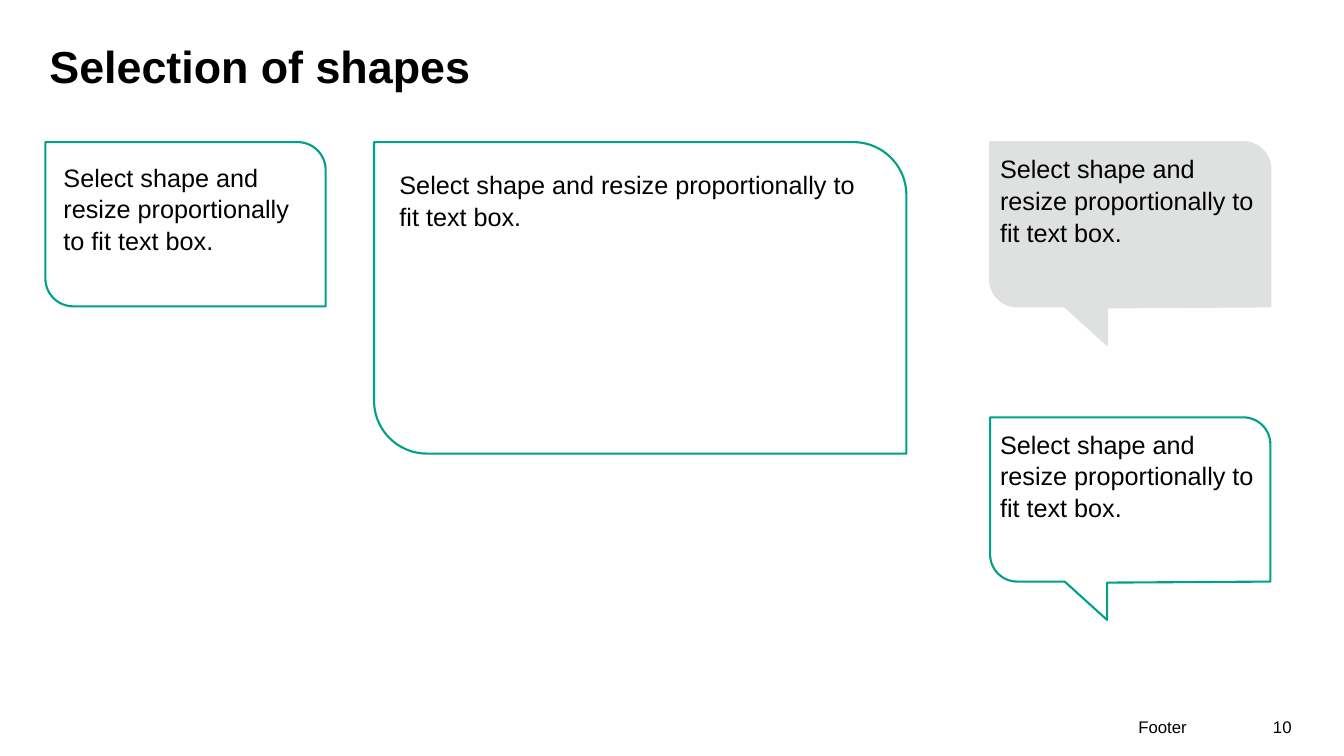
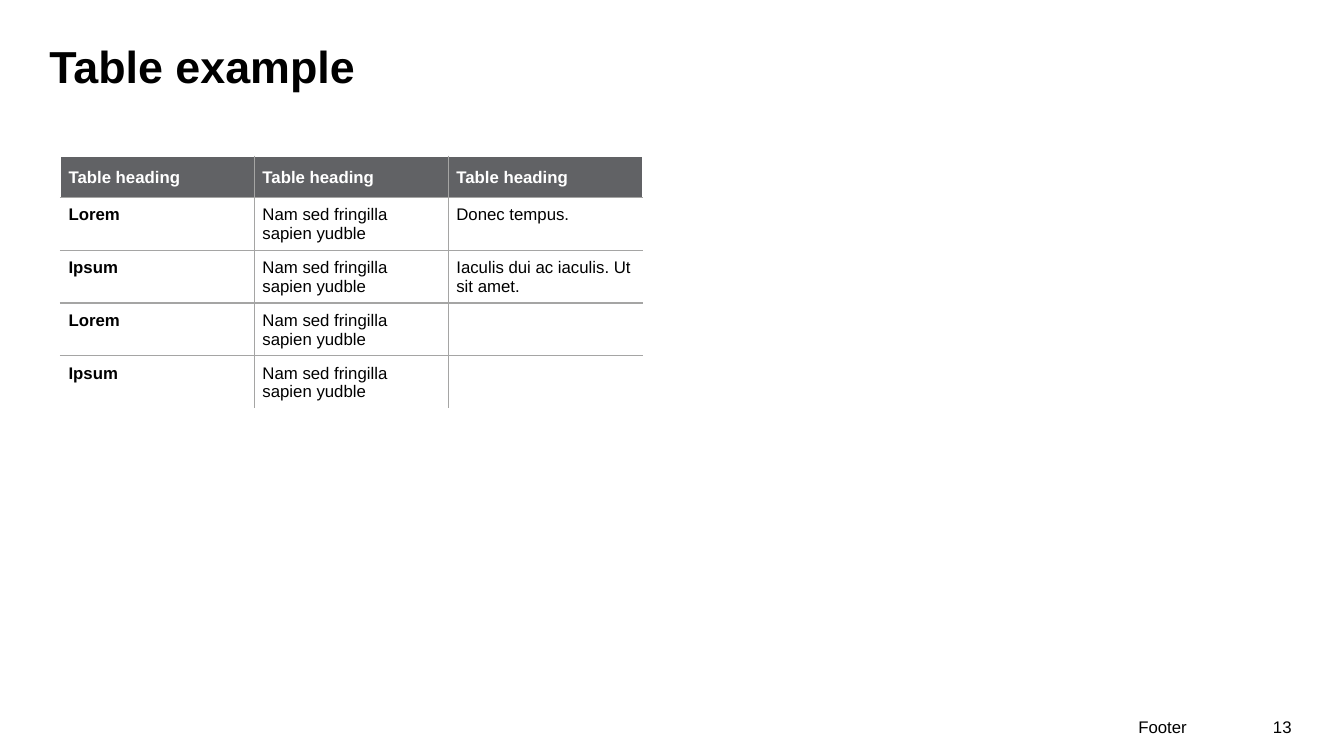
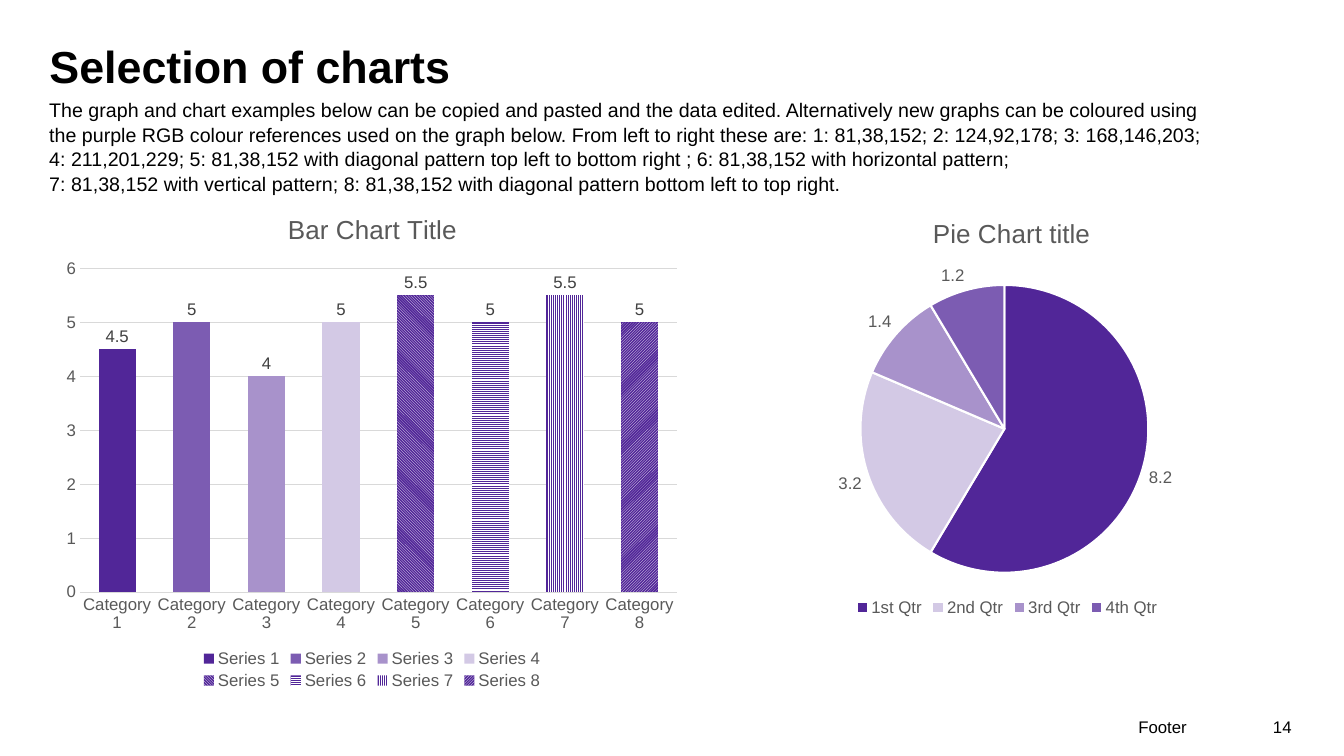
from dataclasses import dataclass
from math import cos, pi, sin
from typing import Optional

from lxml import etree
from pptx import Presentation
from pptx.chart.data import CategoryChartData
from pptx.dml.color import RGBColor
from pptx.enum.chart import XL_CHART_TYPE as ChartType
from pptx.enum.chart import XL_LABEL_POSITION as LabelPos
from pptx.enum.chart import XL_LEGEND_POSITION as LegendPos
from pptx.enum.chart import XL_TICK_MARK as TickMark
from pptx.enum.dml import MSO_PATTERN as Pattern
from pptx.enum.shapes import MSO_SHAPE as Shape
from pptx.enum.text import MSO_ANCHOR as Anchor
from pptx.enum.text import MSO_AUTO_SIZE as AutoSize
from pptx.enum.text import PP_ALIGN as Align
from pptx.oxml.ns import qn
from pptx.util import Inches, Pt

COLORS = {
    "black": "000000", "white": "FFFFFF", "teal": "00A188", "pale": "DFE0E0",
    "header": "616265", "border": "A5A5A4", "axis_text": "595959",
    "label": "404040", "grid": "D9D9D9",
    "purple1": "512698", "purple2": "7C5CB2", "purple3": "A892CB", "purple4": "D3C9E5",
}
FONT = "Arial"
LINE_SPACING = 1.05
SHAPE_TEXT = "Select shape and resize proportionally to fit text box."
CHART_NOTE = (
    "The graph and chart examples below can be copied and pasted and the data edited. "
    "Alternatively new graphs can be coloured using the purple RGB colour references used "
    "on the graph below. From left to right these are: 1: 81,38,152; 2: 124,92,178; "
    "3: 168,146,203; \v4: 211,201,229; 5: 81,38,152 with diagonal pattern top left to bottom "
    "right ; 6: 81,38,152 with horizontal pattern; \v7: 81,38,152 with vertical pattern; "
    "8: 81,38,152 with diagonal pattern bottom left to top right."
)
TABLE_ROWS = [
    ["Table heading"] * 3,
    ["Lorem", "Nam sed fringilla sapien yudble", "Donec tempus."],
    ["Ipsum", "Nam sed fringilla sapien yudble", "Iaculis dui ac iaculis. Ut sit amet."],
    ["Lorem", "Nam sed fringilla sapien yudble", ""],
    ["Ipsum", "Nam sed fringilla sapien yudble", ""],
]


@dataclass(frozen=True)
class Box:
    left: float
    top: float
    width: float
    height: float

    def emu(self) -> tuple:
        return tuple(Inches(v) for v in (self.left, self.top, self.width, self.height))


@dataclass(frozen=True)
class Bubble:
    left: float
    top: float
    line: str
    fill: Optional[str] = None


@dataclass(frozen=True)
class Bar:
    value: float
    color: str
    pattern: Optional[Pattern] = None


@dataclass(frozen=True)
class ChartFrame:
    """Place of a chart; title and plot are fractions of the chart area."""
    box: Box
    title: str
    title_at: tuple
    plot: tuple


CARDS = [Box(0.45, 1.41, 2.78, 1.63), Box(3.71, 1.41, 5.28, 3.09)]
BUBBLES = [Bubble(9.82, 1.41, "pale", "pale"), Bubble(9.82, 4.14, "teal")]
BARS = [
    Bar(4.5, "purple1"), Bar(5, "purple2"), Bar(4, "purple3"), Bar(5, "purple4"),
    Bar(5.5, "purple1", Pattern.LIGHT_DOWNWARD_DIAGONAL),
    Bar(5, "purple1", Pattern.LIGHT_HORIZONTAL),
    Bar(5.5, "purple1", Pattern.LIGHT_VERTICAL),
    Bar(5, "purple1", Pattern.LIGHT_UPWARD_DIAGONAL),
]
QUARTERS = {
    "1st Qtr": Bar(8.2, "purple1"), "2nd Qtr": Bar(3.2, "purple4"),
    "3rd Qtr": Bar(1.4, "purple3"), "4th Qtr": Bar(1.2, "purple2"),
}
BAR_FRAME = ChartFrame(Box(0.54, 1.86, 6.3, 5.02), "Bar Chart Title",
                       (0.36, 0.04), (0.04, 0.16, 0.94, 0.64))
PIE_FRAME = ChartFrame(Box(7.19, 1.88, 5.6, 4.28), "Pie Chart title",
                       (0.36, 0.05), (0.24, 0.22, 0.51, 0.67))


def rgb(name: str) -> RGBColor:
    return RGBColor.from_string(COLORS[name])


def set_font(font, size: float, color: str = "black", bold: bool = False) -> None:
    for name, value in {"name": FONT, "size": Pt(size), "bold": bold}.items():
        setattr(font, name, value)
    font.color.rgb = rgb(color)


def write(tf, text: str, size: float, color: str = "black", bold: bool = False,
          **paragraph_format) -> None:
    p = tf.paragraphs[0]
    p.text = text
    for name, value in paragraph_format.items():
        setattr(p, name, value)
    for r in p.runs:
        set_font(r.font, size, color, bold)


def format_frame(tf, anchor=Anchor.TOP, side: float = 0.1, edge: float = 0.05) -> None:
    values = {
        "word_wrap": True, "auto_size": AutoSize.NONE, "vertical_anchor": anchor,
        "margin_left": Inches(side), "margin_right": Inches(side),
        "margin_top": Inches(edge), "margin_bottom": Inches(edge),
    }
    for name, value in values.items():
        setattr(tf, name, value)


def add_text(slide, box: Box, text: str, size: float, anchor=Anchor.TOP,
             edge: float = 0.05, **paragraph_format) -> None:
    tf = slide.shapes.add_textbox(*box.emu()).text_frame
    format_frame(tf, anchor, edge=edge)
    write(tf, text, size, **paragraph_format)


def add_slide(prs, title: str, number: int):
    """Add a title-only slide with the shared title, footer and number."""
    slide = prs.slides.add_slide(prs.slide_layouts[5])
    sp = slide.shapes.title
    sp.left, sp.top, sp.width, sp.height = Box(0.39, 0.39, 12.52, 0.59).emu()
    format_frame(sp.text_frame)
    write(sp.text_frame, title, 32, bold=True, alignment=Align.LEFT, line_spacing=0.9)
    for box, text in ((Box(4.89, 6.95, 6.98, 0.4), "Footer"),
                      (Box(12.08, 6.95, 0.83, 0.4), str(number))):
        add_text(slide, box, text, 12, Anchor.BOTTOM, 0.04, alignment=Align.RIGHT)
    return slide


def finish_shape(sp, line: str, fill: Optional[str] = None) -> None:
    """Give a shape its outline, fill and sample text."""
    sp.shadow.inherit = False
    sp.line.color.rgb = rgb(line)
    sp.line.width = Pt(1.5)
    if fill:
        sp.fill.solid()
        sp.fill.fore_color.rgb = rgb(fill)
    else:
        sp.fill.background()
    format_frame(sp.text_frame, edge=0.1)
    write(sp.text_frame, SHAPE_TEXT, 18, alignment=Align.LEFT, line_spacing=LINE_SPACING)


def add_card(slide, box: Box) -> None:
    sp = slide.shapes.add_shape(Shape.ROUND_2_DIAG_RECTANGLE, *box.emu())
    sp.adjustments[0], sp.adjustments[1] = 0, 0.17
    finish_shape(sp, "teal")


def corner(cx: float, cy: float, radius: float, start: float) -> list:
    """Points of a quarter circle that runs anticlockwise on the slide."""
    steps = 16
    angles = [start - pi / 2 * i / steps for i in range(steps + 1)]
    return [(cx + radius * cos(a), cy + radius * sin(a)) for a in angles]


def add_bubble(slide, bubble: Bubble) -> None:
    width, height, radius = 2.78, 1.63, 0.27
    points = [
        (0, 0), *corner(radius, height - radius, radius, pi),
        (0.74, height), (1.16, 2.01), (1.16, height + 0.01), (width, height),
        *corner(width - radius, radius, radius, 0),
    ]
    points = [(Inches(bubble.left + x), Inches(bubble.top + y)) for x, y in points]
    builder = slide.shapes.build_freeform(*points[0])
    builder.add_line_segments(points[1:], close=True)
    finish_shape(builder.convert_to_shape(), bubble.line, bubble.fill)


def set_borders(cell, colors: dict) -> None:
    tc_pr = cell._tc.get_or_add_tcPr()
    for i, (side, color) in enumerate(colors.items()):
        ln = etree.Element(qn(f"a:ln{side}"), w=str(Pt(1)))
        fill = etree.SubElement(ln, qn("a:solidFill"))
        etree.SubElement(fill, qn("a:srgbClr"), val=COLORS[color])
        tc_pr.insert(i, ln)


def add_sample_table(slide) -> None:
    n_rows, n_cols = len(TABLE_ROWS), len(TABLE_ROWS[0])
    box = Box(0.6, 1.55, 5.77, 0.41 * n_rows)
    table = slide.shapes.add_table(n_rows, n_cols, *box.emu()).table
    for row, texts in enumerate(TABLE_ROWS):
        for col, text in enumerate(texts):
            cell, heading = table.cell(row, col), row == 0
            margins = {"left": 0.08, "right": 0.08, "top": 0.08, "bottom": 0.07}
            for side, margin in margins.items():
                setattr(cell, f"margin_{side}", Inches(margin))
            cell.vertical_anchor = Anchor.MIDDLE if heading else Anchor.TOP
            cell.fill.solid()
            cell.fill.fore_color.rgb = rgb("header" if heading else "white")
            write(cell.text_frame, text, 12, "white" if heading else "black",
                  heading or col == 0)
            outer = {"L": col == 0, "R": col == n_cols - 1,
                     "T": row == 0, "B": row == n_rows - 1}
            set_borders(cell, {s: "white" if o else "border" for s, o in outer.items()})


def set_layout(parent, index: int, fractions: tuple, inner: bool = False) -> None:
    """Place a chart part by x, y and, if given, w, h."""
    old = parent.find(qn("c:layout"))
    if old is not None:
        parent.remove(old)
    layout = etree.Element(qn("c:layout"))
    manual = etree.SubElement(layout, qn("c:manualLayout"))
    if inner:
        etree.SubElement(manual, qn("c:layoutTarget"), val="inner")
    for axis in "xy":
        etree.SubElement(manual, qn(f"c:{axis}Mode"), val="edge")
    for key, value in zip("xywh", fractions):
        etree.SubElement(manual, qn(f"c:{key}"), val=str(value))
    parent.insert(index, layout)


def add_chart(slide, kind, frame: ChartFrame, data):
    chart = slide.shapes.add_chart(kind, *frame.box.emu(), data).chart
    set_font(chart.font, 10)
    chart.has_title = True
    write(chart.chart_title.text_frame, frame.title, 18.6, "axis_text")
    set_layout(chart.chart_title._element, 1, frame.title_at)
    set_layout(chart._chartSpace.chart.plotArea, 0, frame.plot, inner=True)
    chart.has_legend = True
    chart.legend.position = LegendPos.BOTTOM
    chart.legend.include_in_layout = False
    set_font(chart.legend.font, 12, "axis_text")
    return chart


def show_values(labels, color: str) -> None:
    labels.show_value = True
    labels.position = LabelPos.OUTSIDE_END
    set_font(labels.font, 12, color)


def paint(fill, bar: Bar) -> None:
    if bar.pattern is None:
        fill.solid()
        fill.fore_color.rgb = rgb(bar.color)
    else:
        fill.patterned()
        fill.pattern = bar.pattern
        fill.fore_color.rgb = rgb("white")
        fill.back_color.rgb = rgb(bar.color)


def add_bar_chart(slide) -> None:
    data = CategoryChartData()
    data.categories = [f"Category {i + 1}" for i in range(len(BARS))]
    for i, bar in enumerate(BARS):
        values = [bar.value if j == i else None for j in range(len(BARS))]
        data.add_series(f"Series {i + 1}", values)
    chart = add_chart(slide, ChartType.COLUMN_CLUSTERED, BAR_FRAME, data)
    plot = chart.plots[0]
    plot.gap_width, plot.overlap, plot.vary_by_categories = 100, 100, False
    for series, bar in zip(plot.series, BARS):
        series.invert_if_negative = False
        paint(series.format.fill, bar)
        show_values(series.data_labels, "label")
    cat_axis, val_axis = chart.category_axis, chart.value_axis
    for axis in (cat_axis, val_axis):
        axis.major_tick_mark = axis.minor_tick_mark = TickMark.NONE
        set_font(axis.tick_labels.font, 12, "axis_text")
    val_axis.minimum_scale, val_axis.maximum_scale, val_axis.major_unit = 0, 6, 1
    val_axis.format.line.fill.background()
    for line in (cat_axis.format.line, val_axis.major_gridlines.format.line):
        line.color.rgb = rgb("grid")
        line.width = Pt(0.75)


def add_pie_chart(slide) -> None:
    data = CategoryChartData()
    data.categories = list(QUARTERS)
    data.add_series("Series 1", [q.value for q in QUARTERS.values()])
    chart = add_chart(slide, ChartType.PIE, PIE_FRAME, data)
    plot = chart.plots[0]
    plot.vary_by_categories = True
    series = plot.series[0]
    for i, quarter in enumerate(QUARTERS.values()):
        fmt = series.points[i].format
        paint(fmt.fill, quarter)
        fmt.line.color.rgb = rgb("white")
        fmt.line.width = Pt(1.5)
    show_values(series.data_labels, "axis_text")


def main() -> None:
    prs = Presentation()
    prs.slide_width, prs.slide_height = Inches(13.33), Inches(7.5)

    slide = add_slide(prs, "Selection of shapes", 10)
    for box in CARDS:
        add_card(slide, box)
    for bubble in BUBBLES:
        add_bubble(slide, bubble)

    add_sample_table(add_slide(prs, "Table example", 13))

    slide = add_slide(prs, "Selection of charts", 14)
    add_text(slide, Box(0.39, 0.91, 11.87, 1.04), CHART_NOTE, 14, line_spacing=LINE_SPACING)
    add_bar_chart(slide)
    add_pie_chart(slide)

    prs.save("out.pptx")


if __name__ == "__main__":
    main()
